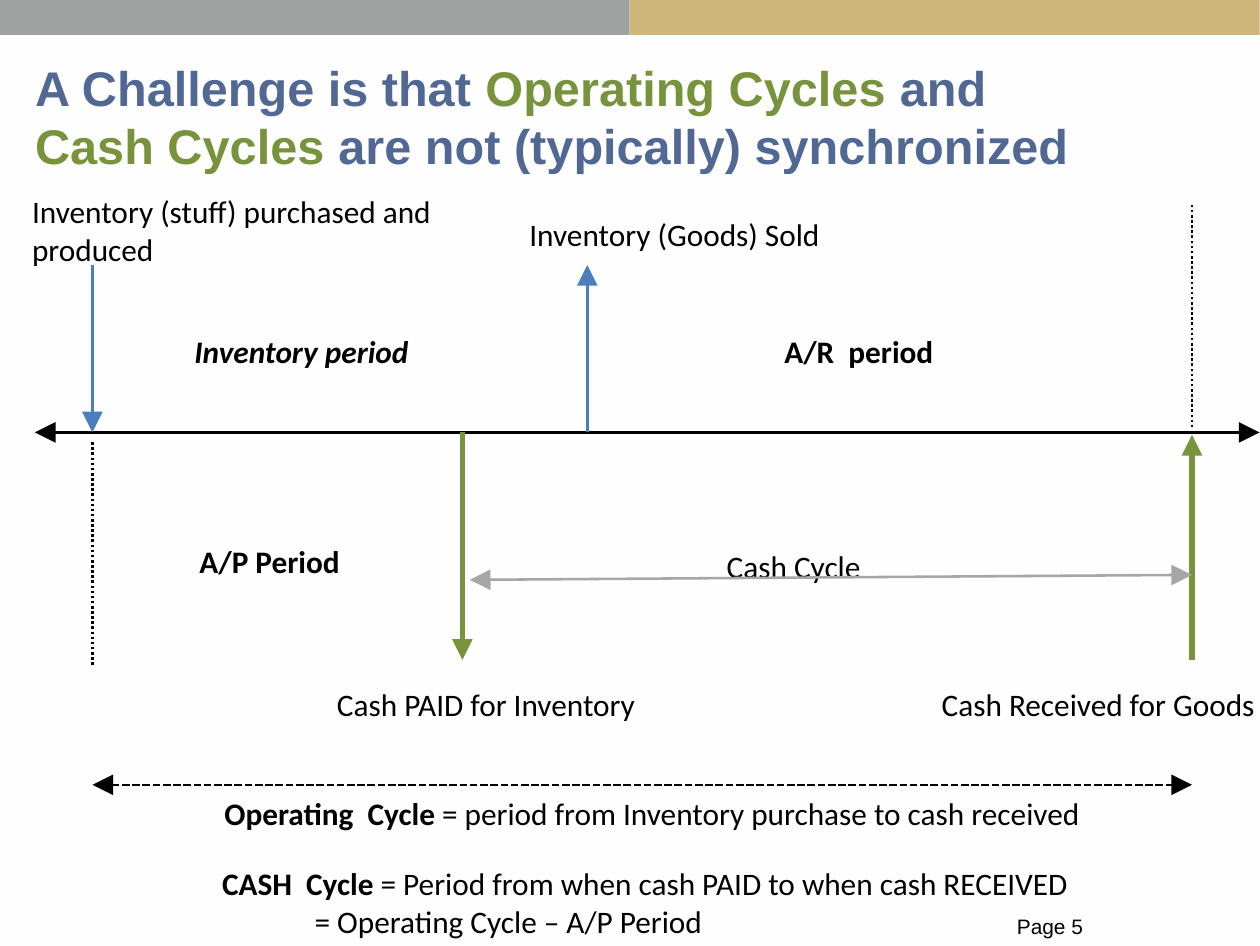
from dataclasses import dataclass

from lxml import etree
from pptx import Presentation
from pptx.dml.color import RGBColor
from pptx.enum.dml import MSO_LINE
from pptx.enum.shapes import MSO_CONNECTOR, MSO_SHAPE
from pptx.enum.text import MSO_ANCHOR, MSO_AUTO_SIZE, PP_ALIGN
from pptx.oxml.ns import qn
from pptx.util import Inches, Pt

STRAIGHT = MSO_CONNECTOR.STRAIGHT
RECTANGLE = MSO_SHAPE.RECTANGLE
DASHED, DOTTED = MSO_LINE.SQUARE_DOT, MSO_LINE.ROUND_DOT
LEFT, TOP = PP_ALIGN.LEFT, MSO_ANCHOR.TOP
NO_FIT, GROW = MSO_AUTO_SIZE.NONE, MSO_AUTO_SIZE.SHAPE_TO_FIT_TEXT
TITLE_ONLY = 5


@dataclass(frozen=True)
class Theme:
    paper: str = "FEFEFE"
    band_gray: str = "A0A2A1"
    band_gold: str = "CEB67B"
    heading: str = "526894"
    cash: str = "77933C"
    goods: str = "4B7EBC"
    ink: str = "000000"
    muted: str = "A6A6A6"
    heading_font: str = "Arial"
    label_font: str = "Calibri"
    title_size: float = 14
    label_size: float = 9
    page_size: float = 6
    thin: float = 0.75
    thick: float = 1.5


THEME = Theme()
SLIDE_WIDTH, SLIDE_HEIGHT = Pt(363), Pt(272.5)
BAND_WIDTH, BAND_HEIGHT = 2.52, 0.14

# Moments on the time axis
AXIS_LEFT, AXIS_RIGHT, AXIS_Y = 0.14, 5.04, 1.73
PURCHASED, PAID, SOLD, RECEIVED = 0.37, 1.85, 2.35, 4.77
GOODS_TOP, CASH_BOTTOM = 1.06, 2.64
OPERATING_Y = 3.14


def color(hex_code):
    return RGBColor.from_string(hex_code)


def add_text(paragraph, text, *, size=THEME.label_size, font=THEME.label_font,
             ink=THEME.ink, bold=False, italic=False):
    run = paragraph.add_run()
    run.text = text
    run.font.size = Pt(size)
    run.font.name = font
    run.font.bold = bold
    run.font.italic = italic
    run.font.color.rgb = color(ink)


def clear_margins(frame):
    frame.margin_left = frame.margin_right = 0
    frame.margin_top = frame.margin_bottom = 0


def indent(paragraph, inches):
    paragraph._p.get_or_add_pPr().set("marL", str(Inches(inches)))


def add_box(slide, left, top, width, height):
    box = slide.shapes.add_textbox(
        Inches(left), Inches(top), Inches(width), Inches(height))
    frame = box.text_frame
    frame.word_wrap = False
    frame.auto_size = GROW
    return frame


def add_label(slide, left, top, width, *lines, height=0.25, **text_format):
    frame = add_box(slide, left, top, width, height)
    for index, line in enumerate(lines):
        paragraph = frame.add_paragraph() if index else frame.paragraphs[0]
        add_text(paragraph, line, **text_format)


def add_definition(slide, left, top, width, term, meaning, second_line=None):
    height = 0.4 if second_line else 0.25
    frame = add_box(slide, left, top, width, height)
    add_text(frame.paragraphs[0], term, bold=True)
    add_text(frame.paragraphs[0], meaning)
    if second_line:
        paragraph = frame.add_paragraph()
        indent(paragraph, 0.37)
        add_text(paragraph, second_line)


def add_line(slide, start, end, ink, *, weight=THEME.thin, dash=None,
             head=False, tail=False):
    """Draw a line; head is the arrowhead at start, tail the one at end."""
    line = slide.shapes.add_connector(
        STRAIGHT, *(Inches(value) for value in (*start, *end)))
    line.line.color.rgb = color(ink)
    line.line.width = Pt(weight)
    if dash:
        line.line.dash_style = dash
    properties = line._element.spPr
    outline = properties.find(qn("a:ln"))
    for tag, wanted in (("a:headEnd", head), ("a:tailEnd", tail)):
        if wanted:
            etree.SubElement(outline, qn(tag), type="triangle")
    etree.SubElement(properties, qn("a:effectLst"))


def add_bands(slide):
    for index, fill in enumerate((THEME.band_gray, THEME.band_gold)):
        band = slide.shapes.add_shape(
            RECTANGLE, Inches(index * BAND_WIDTH), 0,
            Inches(BAND_WIDTH), Inches(BAND_HEIGHT))
        band.shadow.inherit = False
        band.fill.solid()
        band.fill.fore_color.rgb = color(fill)
        band.line.fill.background()


def add_title(slide):
    title = slide.shapes.title
    title.left, title.top = Inches(0.14), Inches(0.23)
    title.width, title.height = Inches(4.77), Inches(0.47)
    frame = title.text_frame
    clear_margins(frame)
    frame.vertical_anchor = TOP
    frame.auto_size = NO_FIT
    frame.word_wrap = True
    heading = frame.paragraphs[0]
    heading.alignment = LEFT
    lines = (
        (("A Challenge is that ", THEME.heading),
         ("Operating Cycles ", THEME.cash), ("and ", THEME.heading)),
        (("Cash Cycles ", THEME.cash),
         ("are not (typically) synchronized", THEME.heading)),
    )
    for index, parts in enumerate(lines):
        if index:
            heading.add_line_break()
        for text, ink in parts:
            add_text(heading, text, size=THEME.title_size,
                     font=THEME.heading_font, ink=ink, bold=True)


def add_page_number(slide):
    frame = add_box(slide, 4.06, 3.66, 0.33, 0.11)
    clear_margins(frame)
    page = frame.paragraphs[0]
    indent(page, 0.01)
    page.line_spacing = Pt(6.8)
    add_text(page, "Page 5", size=THEME.page_size, font=THEME.heading_font)


def add_timeline(slide):
    add_line(slide, (AXIS_LEFT, AXIS_Y), (AXIS_RIGHT, AXIS_Y), THEME.ink,
             head=True, tail=True)
    add_line(slide, (PURCHASED, GOODS_TOP), (PURCHASED, AXIS_Y), THEME.goods,
             tail=True)
    add_line(slide, (SOLD, AXIS_Y), (SOLD, GOODS_TOP), THEME.goods, tail=True)
    add_line(slide, (PAID, AXIS_Y), (PAID, CASH_BOTTOM), THEME.cash,
             weight=THEME.thick, tail=True)
    add_line(slide, (RECEIVED, CASH_BOTTOM), (RECEIVED, 1.74), THEME.cash,
             weight=THEME.thick, tail=True)
    add_line(slide, (RECEIVED, 1.71), (RECEIVED, 0.81), THEME.ink, dash=DOTTED)
    add_line(slide, (PURCHASED, 2.66), (PURCHASED, 1.76), THEME.ink, dash=DOTTED)
    add_line(slide, (PURCHASED, OPERATING_Y), (RECEIVED, OPERATING_Y),
             THEME.ink, dash=DASHED, head=True, tail=True)


def add_labels(slide):
    add_label(slide, 0.03, 0.72, 1.85, "Inventory (stuff) purchased and",
              "produced", height=0.4)
    add_label(slide, 2.02, 0.81, 1.38, "Inventory (Goods) Sold")
    add_label(slide, 0.68, 1.28, 1.07, "Inventory period", bold=True, italic=True)
    add_label(slide, 3.04, 1.28, 0.81, "A/R  period", bold=True)
    add_label(slide, 0.7, 2.12, 0.77, "A/P Period", bold=True)
    add_label(slide, 2.81, 2.14, 0.74, "Cash Cycle")
    add_label(slide, 1.25, 2.69, 1.42, "Cash PAID for Inventory")
    add_label(slide, 3.67, 2.69, 1.47, "Cash Received for Goods")


def main():
    deck = Presentation()
    deck.slide_width, deck.slide_height = SLIDE_WIDTH, SLIDE_HEIGHT
    slide = deck.slides.add_slide(deck.slide_layouts[TITLE_ONLY])
    slide.background.fill.solid()
    slide.background.fill.fore_color.rgb = color(THEME.paper)

    add_bands(slide)
    add_title(slide)
    add_page_number(slide)
    add_timeline(slide)
    add_labels(slide)
    add_definition(slide, 0.8, 3.13, 3.66, "Operating  Cycle ",
                   "= period from Inventory purchase to cash received")
    add_definition(slide, 0.79, 3.41, 3.65, "CASH  Cycle ",
                   "= Period from when cash PAID to when cash RECEIVED",
                   "= Operating Cycle – A/P Period")
    add_line(slide, (1.88, 2.32), (RECEIVED, 2.3), THEME.muted,
             head=True, tail=True)
    deck.save("out.pptx")


if __name__ == "__main__":
    main()
